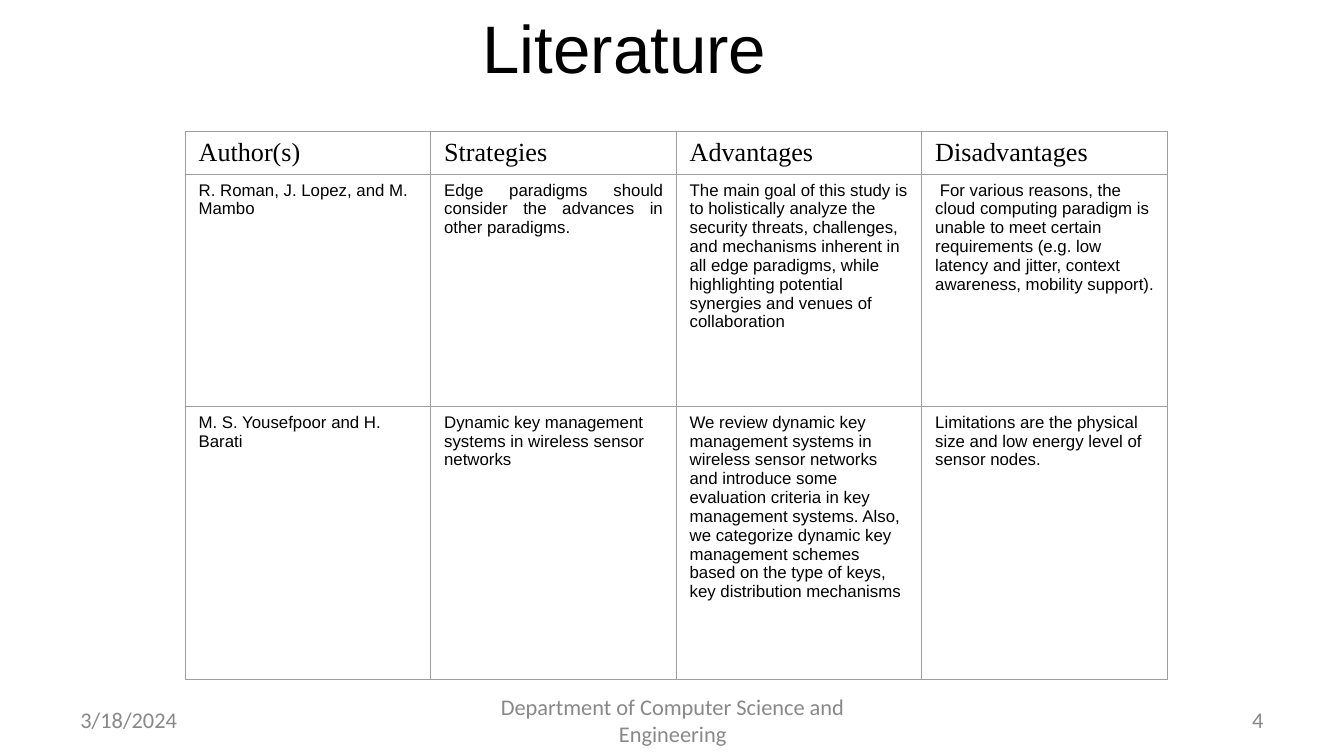
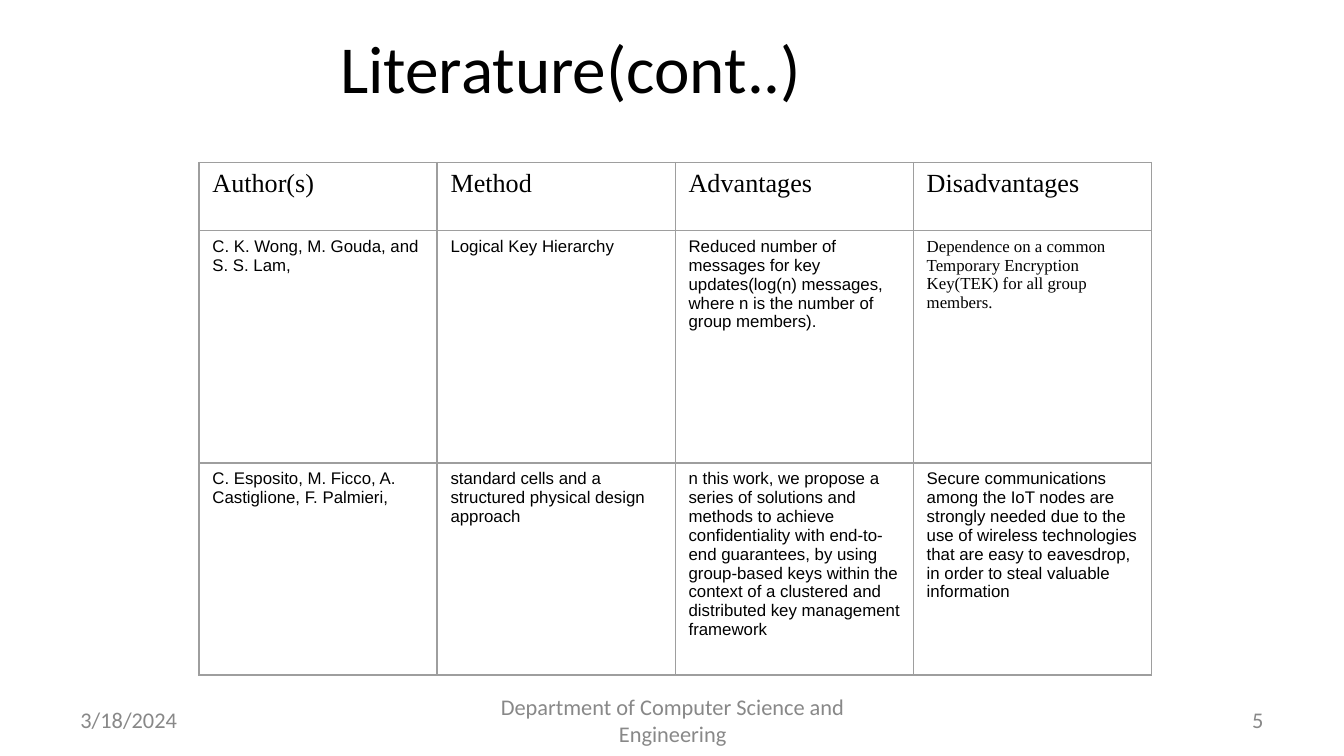
from dataclasses import dataclass

from lxml import etree
from pptx import Presentation
from pptx.dml.color import RGBColor
from pptx.enum.text import MSO_ANCHOR, MSO_AUTO_SIZE, PP_ALIGN
from pptx.oxml.ns import qn
from pptx.util import Cm, Pt

LEFT, CENTER, RIGHT, JUSTIFY = PP_ALIGN.LEFT, PP_ALIGN.CENTER, PP_ALIGN.RIGHT, PP_ALIGN.JUSTIFY
MIDDLE = MSO_ANCHOR.MIDDLE
NO_AUTOFIT = MSO_AUTO_SIZE.NONE
TITLE_ONLY = 5  # layout index in the default template


@dataclass(frozen=True)
class Theme:
    ink: str = "000000"
    muted: str = "888888"
    grid: str = "9E9E9E"
    grid_width: float = 0.75
    sans: str = "Arial"
    serif: str = "Times New Roman"
    footer_font: str = "Calibri"
    title_size: int = 36
    header_size: int = 14
    body_size: int = 9
    footer_size: int = 12


class Deck:
    def __init__(self, theme):
        self.theme = theme
        self.prs = Presentation()
        self.prs.slide_width, self.prs.slide_height = Cm(25.4), Cm(14.29)
        self.slide = None

    def add_slide(self):
        self.slide = self.prs.slides.add_slide(self.prs.slide_layouts[TITLE_ONLY])

    def style(self, frame, font, size, color, align=LEFT):
        for paragraph in frame.paragraphs:
            paragraph.alignment = align
            for run in paragraph.runs:
                run.font.name = font
                run.font.size = Pt(size)
                run.font.color.rgb = RGBColor.from_string(color)

    def title(self, text, left, top, font):
        title = self.slide.shapes.title
        title.left, title.top, title.width, title.height = Cm(left), Cm(top), Cm(17), Cm(1.75)
        frame = title.text_frame
        frame.text = text
        frame.auto_size = NO_AUTOFIT
        frame.vertical_anchor = MIDDLE
        self.style(frame, font, self.theme.title_size, self.theme.ink, CENTER)

    def footer(self, number):
        parts = (
            ("3/18/2024", 1.27, 5.92, LEFT),
            ("Department of Computer Science and Engineering", 8.69, 8.05, CENTER),
            (str(number), 18.21, 5.92, RIGHT),
        )
        for text, left, width, align in parts:
            box = self.slide.shapes.add_textbox(Cm(left), Cm(13.23), Cm(width), Cm(0.76))
            frame = box.text_frame
            frame.text = text
            frame.word_wrap = True
            frame.vertical_anchor = MIDDLE
            self.style(frame, self.theme.footer_font, self.theme.footer_size,
                       self.theme.muted, align)

    def borders(self, cell):
        properties = cell._tc.get_or_add_tcPr()
        for side in ("a:lnL", "a:lnR", "a:lnT", "a:lnB"):
            line = etree.SubElement(properties, qn(side), w=str(Pt(self.theme.grid_width)))
            fill = etree.SubElement(line, qn("a:solidFill"))
            etree.SubElement(fill, qn("a:srgbClr"), val=self.theme.grid)

    def table(self, rows, left, top, col_width, row_heights, justified=(), serif=()):
        """Draw rows; justified and serif hold (row, column) pairs that differ."""
        theme = self.theme
        columns = len(rows[0])
        table = self.slide.shapes.add_table(
            len(rows), columns, Cm(left), Cm(top),
            Cm(col_width * columns), Cm(sum(row_heights))).table
        table.first_row = table.horz_banding = False
        for column in table.columns:
            column.width = Cm(col_width)
        for r, (texts, height) in enumerate(zip(rows, row_heights)):
            table.rows[r].height = Cm(height)
            for c, text in enumerate(texts):
                cell = table.cell(r, c)
                self.borders(cell)
                cell.fill.background()
                cell.text_frame.text = text
                font = theme.serif if r == 0 or (r, c) in serif else theme.sans
                size = theme.header_size if r == 0 else theme.body_size
                align = JUSTIFY if (r, c) in justified else LEFT
                self.style(cell.text_frame, font, size, theme.ink, align)


def main():
    theme = Theme()
    deck = Deck(theme)

    # Literature: edge paradigms and key management
    edge_studies = (
        ("Author(s)", "Strategies", "Advantages", "Disadvantages"),
        ("R. Roman, J. Lopez, and M. Mambo",
         "Edge paradigms should consider the advances in other paradigms.",
         "The main goal of this study is to holistically analyze the security threats, "
         "challenges, and mechanisms inherent in all edge paradigms, while highlighting "
         "potential synergies and venues of collaboration",
         " For various reasons, the cloud computing paradigm is unable to meet certain "
         "requirements (e.g. low latency and jitter, context awareness, mobility support)."),
        ("M. S. Yousefpoor and H. Barati",
         "Dynamic key management systems in wireless sensor networks",
         "We review dynamic key management systems in wireless sensor networks and "
         "introduce some evaluation criteria in key management systems. Also, we categorize "
         "dynamic key management schemes based on the type of keys, key distribution "
         "mechanisms",
         "Limitations are the physical size and low energy level of sensor nodes."),
    )
    deck.add_slide()
    deck.title("Literature ", 3.48, 0, theme.sans)
    deck.table(edge_studies, 3.5, 2.49, 4.64, (0.69, 4.39, 5.16), justified={(1, 1)})
    deck.footer(4)

    # Literature, continued: group keys
    group_key_studies = (
        ("Author(s)", "Method", "Advantages", "Disadvantages"),
        ("C. K. Wong, M. Gouda, and S. S. Lam,",
         "Logical Key Hierarchy",
         "Reduced number of messages for key updates(log(n) messages, where n is the "
         "number of group members).",
         "Dependence on a common Temporary Encryption Key(TEK) for all group members."),
        ("C. Esposito, M. Ficco, A. Castiglione, F. Palmieri,",
         "standard cells and a structured physical design approach",
         "n this work, we propose a series of solutions and methods to achieve "
         "confidentiality with end-to-end guarantees, by using group-based keys within the "
         "context of a clustered and distributed key management framework",
         "Secure communications among the IoT nodes are strongly needed due to the use of "
         "wireless technologies that are easy to eavesdrop, in order to steal valuable "
         "information"),
    )
    deck.add_slide()
    deck.title("Literature(cont..)", 2.29, 0.38, theme.footer_font)
    deck.table(group_key_studies, 3.76, 3.07, 4.5, (1.29, 4.39, 4.01), serif={(1, 3)})
    deck.footer(5)

    deck.prs.save("out.pptx")


if __name__ == "__main__":
    main()
